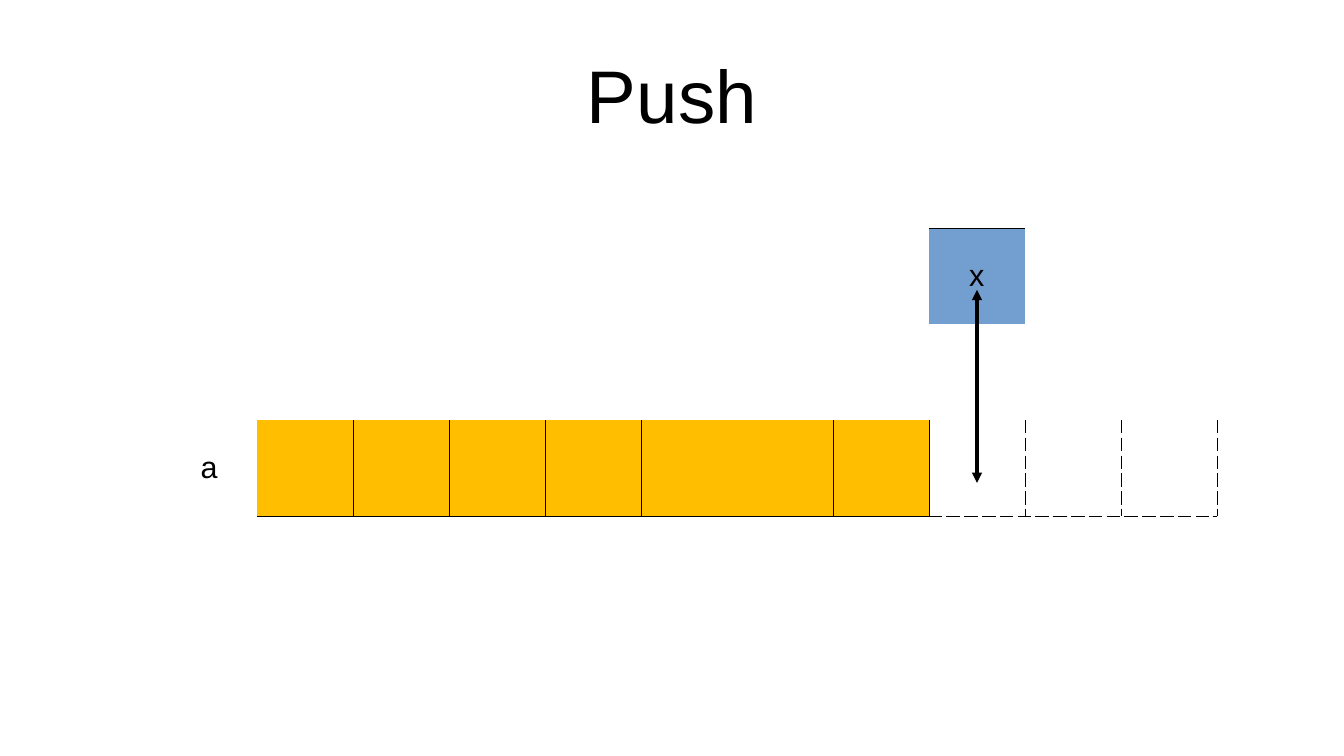
from dataclasses import dataclass

from lxml.etree import SubElement
from pptx import Presentation
from pptx.dml.color import RGBColor
from pptx.enum.shapes import MSO_CONNECTOR
from pptx.enum.text import MSO_ANCHOR, PP_ALIGN
from pptx.oxml.ns import qn
from pptx.util import Pt

PX = 914400 // 122
CELL = 96
ROWS, COLS = 3, 11
FILLS = {(0, 8): "blue"} | {(2, col): "gold" for col in range(1, 8)}
WORDS = {(0, 8): "x", (2, 0): "a"}
SEAMS = {(2, col): "solid" for col in (2, 3, 4, 5, 7, 8)}
SEAMS |= {(2, col): "dash" for col in (9, 10, 11)}
FLOORS = {(0, 8): "solid"} | {(3, col): "solid" for col in range(1, 8)}
FLOORS |= {(3, col): "dash" for col in (8, 9, 10)}


@dataclass
class Theme:
    font: str = "Arial"
    ink: str = "000000"
    gold: str = "FFBF00"
    blue: str = "729FCF"
    title: int = 44
    body: int = 18
    hair: int = 720


class Deck:
    """Draws styled elements on the current slide."""

    def __init__(self, theme, width, height):
        self.theme = theme
        self.show = Presentation()
        self.show.slide_width = width * PX
        self.show.slide_height = height * PX
        self.slide = self.show.slides.add_slide(self.show.slide_layouts[6])

    def label(self, frame, text, size):
        par = frame.paragraphs[0]
        par.alignment = PP_ALIGN.CENTER
        run = par.add_run()
        run.text = text
        run.font.name = self.theme.font
        run.font.size = Pt(size)
        run.font.color.rgb = RGBColor.from_string(self.theme.ink)

    def title(self, text, *box):
        frame = self.slide.shapes.add_textbox(*(n * PX for n in box)).text_frame
        frame.word_wrap = True
        frame.vertical_anchor = MSO_ANCHOR.MIDDLE
        frame.margin_left = frame.margin_right = 0
        frame.margin_top = frame.margin_bottom = 0
        self.label(frame, text, self.theme.title)

    def edge(self, cell, side, dash):
        line = SubElement(cell._tc.get_or_add_tcPr(), qn(f"a:ln{side}"), w=str(self.theme.hair))
        if dash:
            paint = SubElement(line, qn("a:solidFill"))
            SubElement(paint, qn("a:srgbClr"), val=self.theme.ink)
            SubElement(line, qn("a:prstDash"), val=dash)
        else:
            SubElement(line, qn("a:noFill"))

    def grid(self, left, top):
        box = (left * PX, top * PX, COLS * CELL * PX, ROWS * CELL * PX)
        table = self.slide.shapes.add_table(ROWS, COLS, *box).table
        table.first_row = table.horz_banding = False
        for row in range(ROWS):
            for col in range(COLS):
                self.cell(table.cell(row, col), row, col)

    def cell(self, cell, row, col):
        cell.margin_left = cell.margin_right = 2 * PX
        cell.margin_top = cell.margin_bottom = 6 * PX
        cell.vertical_anchor = MSO_ANCHOR.MIDDLE
        self.edge(cell, "L", SEAMS.get((row, col)))
        self.edge(cell, "R", SEAMS.get((row, col + 1)))
        self.edge(cell, "T", FLOORS.get((row, col)))
        self.edge(cell, "B", FLOORS.get((row + 1, col)))
        if (row, col) in FILLS:
            cell.fill.solid()
            color = getattr(self.theme, FILLS[row, col])
            cell.fill.fore_color.rgb = RGBColor.from_string(color)
        else:
            cell.fill.background()
        if (row, col) in WORDS:
            self.label(cell.text_frame, WORDS[row, col], self.theme.body)

    def arrow(self, *ends):
        link = self.slide.shapes.add_connector(MSO_CONNECTOR.STRAIGHT, *(n * PX for n in ends))
        link.line.color.rgb = RGBColor.from_string(self.theme.ink)
        link.line.width = 0
        line = link.line._ln
        for tag in ("a:headEnd", "a:tailEnd"):
            SubElement(line, qn(tag), type="triangle")
        SubElement(link._element.spPr, qn("a:effectLst"))


def main():
    deck = Deck(Theme(), 1344, 756)
    deck.grid(161, 228)
    deck.title("Push", 67, 30, 1210, 127)
    deck.arrow(977, 290, 977, 483)
    deck.show.save("out.pptx")


if __name__ == "__main__":
    main()
